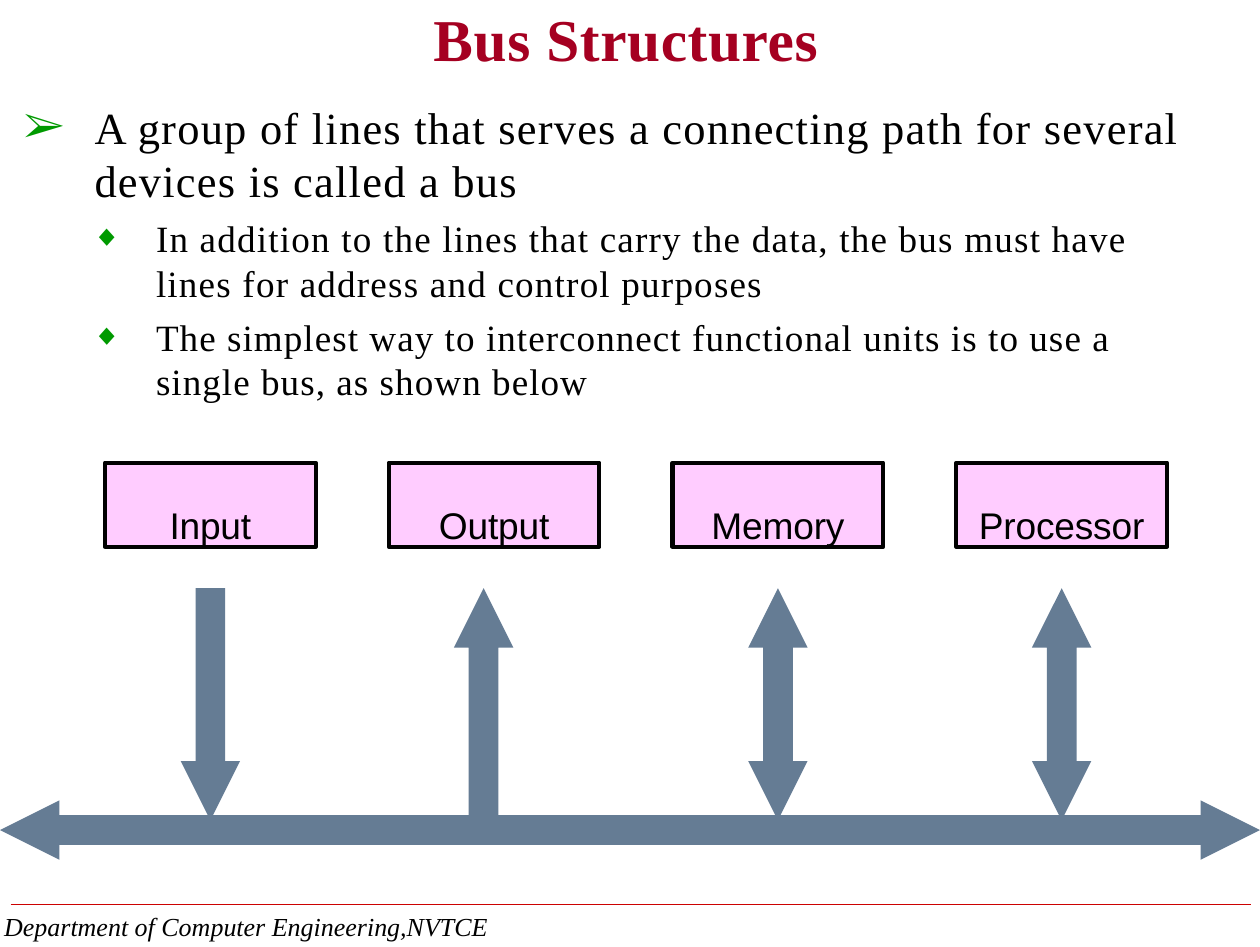
from lxml.etree import SubElement
from pptx import Presentation
from pptx.dml.color import RGBColor
from pptx.enum.shapes import MSO_CONNECTOR, MSO_SHAPE
from pptx.enum.text import MSO_ANCHOR, MSO_AUTO_SIZE, PP_ALIGN
from pptx.oxml.ns import qn
from pptx.util import Cm, Pt

TITLE = "Bus Structures"
FOOT = "Department of Computer Engineering,NVTCE"
# level, text, letter spacing in 1/100 pt
POINTS = [
    (0, "A group of lines that serves a connecting path for several "
        "devices is called a bus", 67),
    (1, "In addition to the lines that carry the data, the bus must have "
        "lines for address and control purposes", 65),
    (1, "The simplest way to interconnect functional units is to use a "
        "single bus, as shown below", 56),
]
# size, space before, indent, hanging, bullet, bullet percent
LEVELS = [(24, 1, 1.4, 1.35, "\u27a2", 100), (20, 5, 2.57, 1.22, "\u25c6", 80)]
# name, arrow to the bus, turn in degrees, arrow offset from the box centre
UNITS = [
    ("Input", MSO_SHAPE.DOWN_ARROW, 0, 0),
    ("Output", MSO_SHAPE.UP_ARROW, 0, -0.2),
    ("Memory", MSO_SHAPE.LEFT_RIGHT_ARROW, 90, 0),
    ("Processor", MSO_SHAPE.LEFT_RIGHT_ARROW, 90, 0),
]
SERIF, SANS = "Times New Roman", "Arial"
RED, GREEN, PINK, STEEL, BLACK = "A50021", "009A00", "FFCCFF", "657C94", "000000"
WIDE, HIGH = 23.98, 18.03
LEFT, PITCH, BOX_W, BOX_H, BOX_TOP = 2.0, 5.4, 4.01, 1.6, 8.81
HEAD, ARROW_TOP, ARROW_H, BUS_TOP = 1.13, 11.2, 4.42, 15.24


def color(code):
    """Turn a hex string into a colour."""
    return RGBColor.from_string(code)


def place(left, top, wide, high):
    """Give a frame in centimetres as lengths."""
    return Cm(left), Cm(top), Cm(wide), Cm(high)


def style(para, size, face, code, bold=False, italic=False, gap=0):
    """Format every run of a paragraph."""
    for run in para.runs:
        font = run.font
        font.size, font.name, font.bold, font.italic = Pt(size), face, bold, italic
        font.color.rgb = color(code)
        run._r.get_or_add_rPr().set("spc", str(gap))


def bare(frame, anchor=MSO_ANCHOR.TOP, wrap=True):
    """Strip the margins of a text frame and fix its layout."""
    frame.margin_left = frame.margin_right = frame.margin_top = frame.margin_bottom = 0
    frame.auto_size = MSO_AUTO_SIZE.NONE
    frame.vertical_anchor, frame.word_wrap = anchor, wrap
    return frame


def solid(kind, frame, code):
    """Add a flat preset shape without outline."""
    shape = slide.shapes.add_shape(kind, *place(*frame))
    shape.shadow.inherit = False
    shape.fill.solid()
    shape.fill.fore_color.rgb = color(code)
    shape.line.fill.background()
    return shape


def arrow(kind, x, y, wide, high, turn=0):
    """Add a block arrow around a centre, its head as long as it is wide."""
    shape = solid(kind, (x - wide / 2, y - high / 2, wide, high), STEEL)
    shape.adjustments[0], shape.adjustments[1] = 0.5, 1.0
    shape.rotation = turn


def bullet(para, indent, hang, char, percent):
    """Give a paragraph a hanging green bullet."""
    props = para._p.get_or_add_pPr()
    props.set("marL", str(Cm(indent)))
    props.set("indent", str(-Cm(hang)))
    tint = SubElement(props, qn("a:buClr"))
    SubElement(tint, qn("a:srgbClr"), val=GREEN)
    SubElement(props, qn("a:buSzPct"), val=str(percent * 1000))
    SubElement(props, qn("a:buFont"), typeface=SERIF)
    SubElement(props, qn("a:buChar"), char=char)


deck = Presentation()
deck.slide_width, deck.slide_height = Cm(WIDE), Cm(HIGH)
slide = deck.slides.add_slide(deck.slide_layouts[5])

rule = slide.shapes.add_connector(
    MSO_CONNECTOR.STRAIGHT, Cm(0.2), Cm(17.22), Cm(23.8), Cm(17.22))
rule.line.color.rgb = color("CC0101")
rule.line.width = Pt(0.26)
SubElement(rule._element.spPr, qn("a:effectLst"))

title = slide.shapes.title
title.left, title.top, title.width, title.height = place(8.25, 0.04, 7.5, 1.5)
bare(title.text_frame, wrap=False).text = TITLE
head = title.text_frame.paragraphs[0]
head.alignment, head.space_before = PP_ALIGN.LEFT, Pt(1)
style(head, 32, SERIF, RED, bold=True, gap=35)

for i, (name, kind, turn, shift) in enumerate(UNITS):
    left = LEFT + i * PITCH
    box = solid(MSO_SHAPE.RECTANGLE, (left, BOX_TOP, BOX_W, BOX_H), PINK)
    box.line.color.rgb = color("010101")
    box.line.width = Pt(2.25)
    bare(box.text_frame, MSO_ANCHOR.BOTTOM).text = name
    label = box.text_frame.paragraphs[0]
    label.alignment = PP_ALIGN.CENTER
    style(label, 20, SANS, BLACK, gap=-10)
    size = (ARROW_H, HEAD) if turn else (HEAD, ARROW_H)
    arrow(kind, left + BOX_W / 2 + shift, ARROW_TOP + ARROW_H / 2, *size, turn)
arrow(MSO_SHAPE.LEFT_RIGHT_ARROW, WIDE / 2, BUS_TOP + HEAD / 2, WIDE, HEAD)

body = bare(slide.shapes.add_textbox(*place(0.4, 1.9, 22.25, 5.8)).text_frame)
body.text = "\n".join(text for _, text, _ in POINTS)
for para, (level, _, gap) in zip(body.paragraphs, POINTS):
    size, before, *mark = LEVELS[level]
    para.level, para.space_before, para.line_spacing = level, Pt(before), 1.0
    bullet(para, *mark)
    style(para, size, SERIF, BLACK, gap=gap)

foot = bare(slide.shapes.add_textbox(*place(0.08, 17.35, 11.35, 0.6)).text_frame)
foot.text = FOOT
foot.paragraphs[0].line_spacing = Pt(16.2)
style(foot.paragraphs[0], 14, SERIF, BLACK, italic=True)

deck.save("out.pptx")
